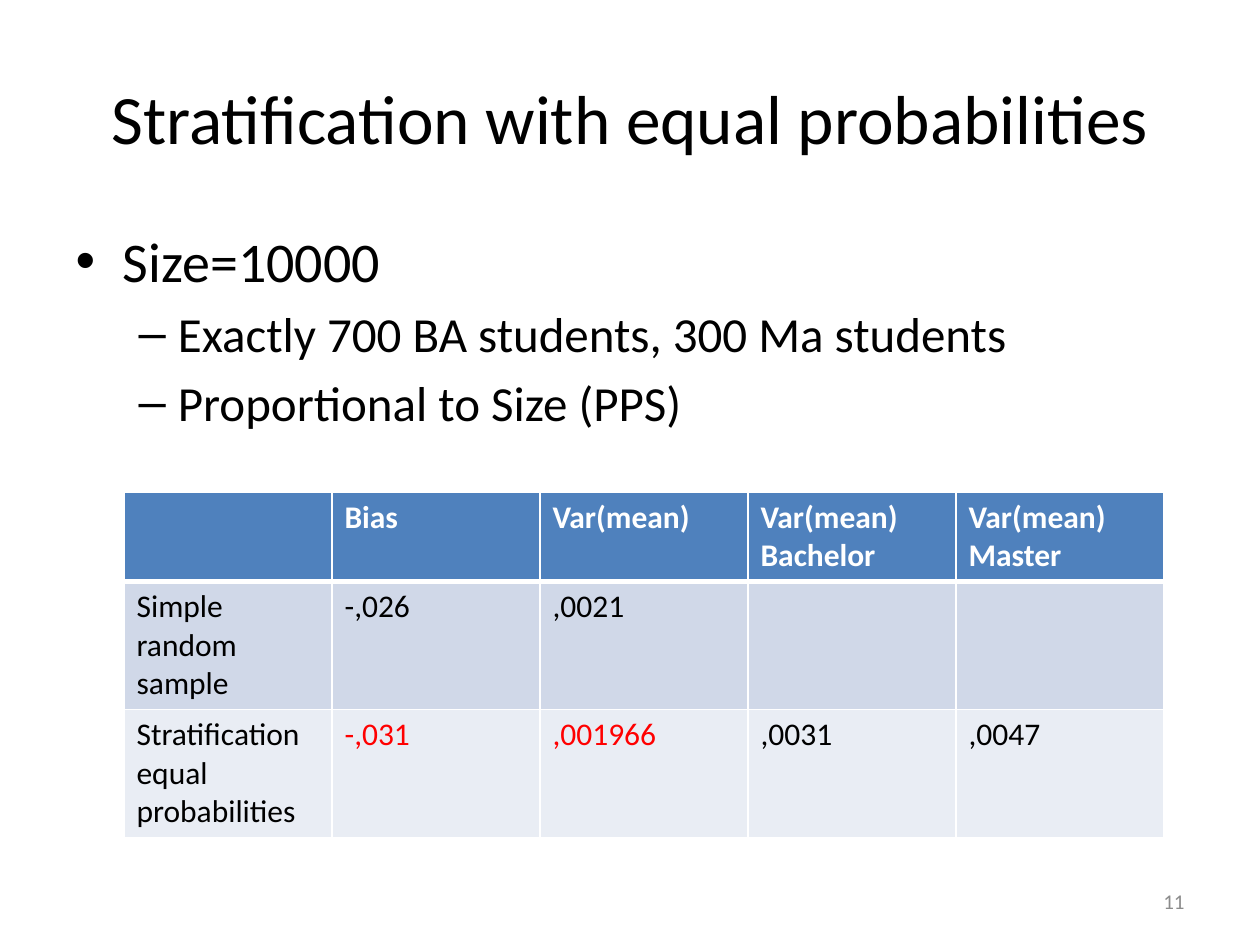
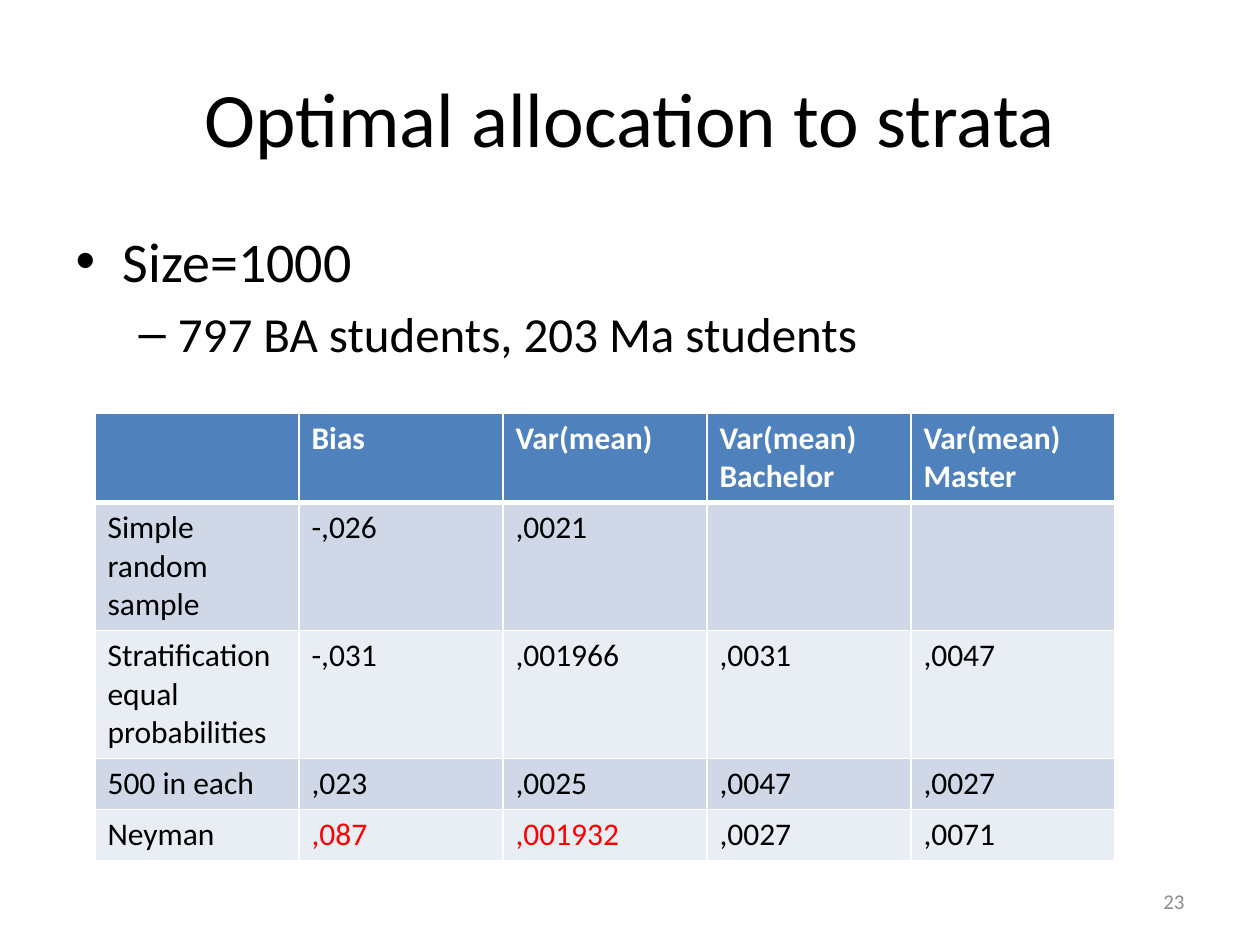
from lxml.etree import SubElement
from pptx import Presentation
from pptx.dml.color import RGBColor
from pptx.enum.text import MSO_ANCHOR as Anchor, MSO_AUTO_SIZE as AutoSize, PP_ALIGN as Align
from pptx.oxml.ns import qn
from pptx.util import Emu, Pt

# Content
HEADER = ["", "Bias", "Var(mean)", "Var(mean) Bachelor", "Var(mean) Master"]
SIMPLE = ["Simple random sample", "-,026", ",0021", "", ""]
STRATIFIED = ["Stratification equal probabilities", "-,031", ",001966", ",0031", ",0047"]

SLIDES = [
    {
        "title": "Stratification with equal probabilities",
        "title_size": 39.6,
        "bullets": [
            (0, "Size=10000"),
            (1, "Exactly 700 BA students, 300 Ma students"),
            (1, "Proportional to Size (PPS)"),
        ],
        "body_height": 624,
        "table_at": (124, 492),
        "column_width": 208,
        "rows": [HEADER, SIMPLE, STRATIFIED],
        "number": "11",
    },
    {
        "title": "Optimal allocation to strata",
        "title_size": 44,
        "bullets": [
            (0, "Size=1000"),
            (1, "797 BA students, 203 Ma students"),
        ],
        "body_height": 679,
        "table_at": (95, 413),
        "column_width": 204,
        "rows": [
            HEADER, SIMPLE, STRATIFIED,
            ["500 in each", ",023", ",0025", ",0047", ",0027"],
            ["Neyman", ",087", ",001932", ",0027", ",0071"],
        ],
        "number": "23",
    },
]

# Shared style
FONT = "Calibri"
BLACK, WHITE, RED, GREY = "000000", "FFFFFF", "FF0000", "8C8C8C"
HEADER_FILL, BAND_FILLS = "4F81BD", ("D0D8E8", "E9EDF4")
BULLET_SIZES = (32, 28)
HIGHLIGHT_COLUMNS = (1, 2)
ROW_HEIGHTS = {1: 51, 2: 89, 3: 128}  # by number of text lines
SLIDE_SIZE = (1260, 945)
TITLE_BOX = (63, 38, 1134, 158)
BODY_LEFT, BODY_TOP, BODY_WIDTH = 63, 220, 1134
NUMBER_BOX = (903, 876, 294, 50)


def px(length):
    return Emu(round(length * 914400 / 126))


def color(hex_string):
    return RGBColor.from_string(hex_string)


def add_run(paragraph, text, size, text_color=BLACK, bold=False):
    run = paragraph.add_run()
    run.text = text
    run.font.name = FONT
    run.font.size = Pt(size)
    run.font.bold = bold
    run.font.color.rgb = color(text_color)


def place(shape, left, top, width, height):
    shape.left, shape.top = px(left), px(top)
    shape.width, shape.height = px(width), px(height)


def add_title(slide, text, size):
    title = slide.shapes.title
    place(title, *TITLE_BOX)
    frame = title.text_frame
    frame.auto_size = AutoSize.NONE
    frame.vertical_anchor = Anchor.MIDDLE
    paragraph = frame.paragraphs[0]
    paragraph.alignment = Align.CENTER
    add_run(paragraph, text, size)


def add_bullets(slide, bullets, height):
    body = slide.placeholders[1]
    place(body, BODY_LEFT, BODY_TOP, BODY_WIDTH, height)
    frame = body.text_frame
    frame.auto_size = AutoSize.NONE
    for index, (level, text) in enumerate(bullets):
        paragraph = frame.add_paragraph() if index else frame.paragraphs[0]
        paragraph.level = level
        size = BULLET_SIZES[level]
        paragraph.space_before = Pt(0.2 * size if index else 0)
        add_run(paragraph, text, size)


def set_borders(cell, row_index):
    properties = cell._tc.get_or_add_tcPr()
    widths = {
        "a:lnL": 1,
        "a:lnR": 1,
        "a:lnT": 3 if row_index == 1 else 1,
        "a:lnB": 3 if row_index == 0 else 1,
    }
    for tag, width in widths.items():
        line = SubElement(properties, qn(tag), w=str(Pt(width)))
        fill = SubElement(line, qn("a:solidFill"))
        SubElement(fill, qn("a:srgbClr"), val=WHITE)


def line_count(row):
    # Every cell label breaks after each word, except short ones
    return max(len(text.split()) if len(text) > 12 else 1 for text in row)


def add_results_table(slide, rows, at, column_width):
    heights = [ROW_HEIGHTS[line_count(row)] for row in rows]
    columns = len(HEADER)
    frame = slide.shapes.add_table(
        len(rows), columns, px(at[0]), px(at[1]),
        px(column_width * columns), px(sum(heights)))
    table = frame.table
    for column in table.columns:
        column.width = px(column_width)
    for row_index, row in enumerate(rows):
        table.rows[row_index].height = px(heights[row_index])
        is_header = row_index == 0
        is_last = row_index == len(rows) - 1
        for column_index, text in enumerate(row):
            cell = table.cell(row_index, column_index)
            set_borders(cell, row_index)
            cell.fill.solid()
            cell.fill.fore_color.rgb = color(
                HEADER_FILL if is_header else BAND_FILLS[(row_index - 1) % 2])
            if not text:
                continue
            highlighted = is_last and column_index in HIGHLIGHT_COLUMNS
            text_color = WHITE if is_header else RED if highlighted else BLACK
            add_run(cell.text_frame.paragraphs[0], text, 18, text_color, is_header)


def add_slide_number(slide, number):
    box = slide.shapes.add_textbox(*map(px, NUMBER_BOX))
    frame = box.text_frame
    frame.word_wrap = True
    frame.vertical_anchor = Anchor.MIDDLE
    paragraph = frame.paragraphs[0]
    paragraph.alignment = Align.RIGHT
    add_run(paragraph, number, 12, GREY)


def main():
    presentation = Presentation()
    presentation.slide_width, presentation.slide_height = map(px, SLIDE_SIZE)
    for content in SLIDES:
        slide = presentation.slides.add_slide(presentation.slide_layouts[1])
        add_title(slide, content["title"], content["title_size"])
        add_bullets(slide, content["bullets"], content["body_height"])
        add_results_table(
            slide, content["rows"], content["table_at"], content["column_width"])
        add_slide_number(slide, content["number"])
    presentation.save("out.pptx")


if __name__ == "__main__":
    main()
